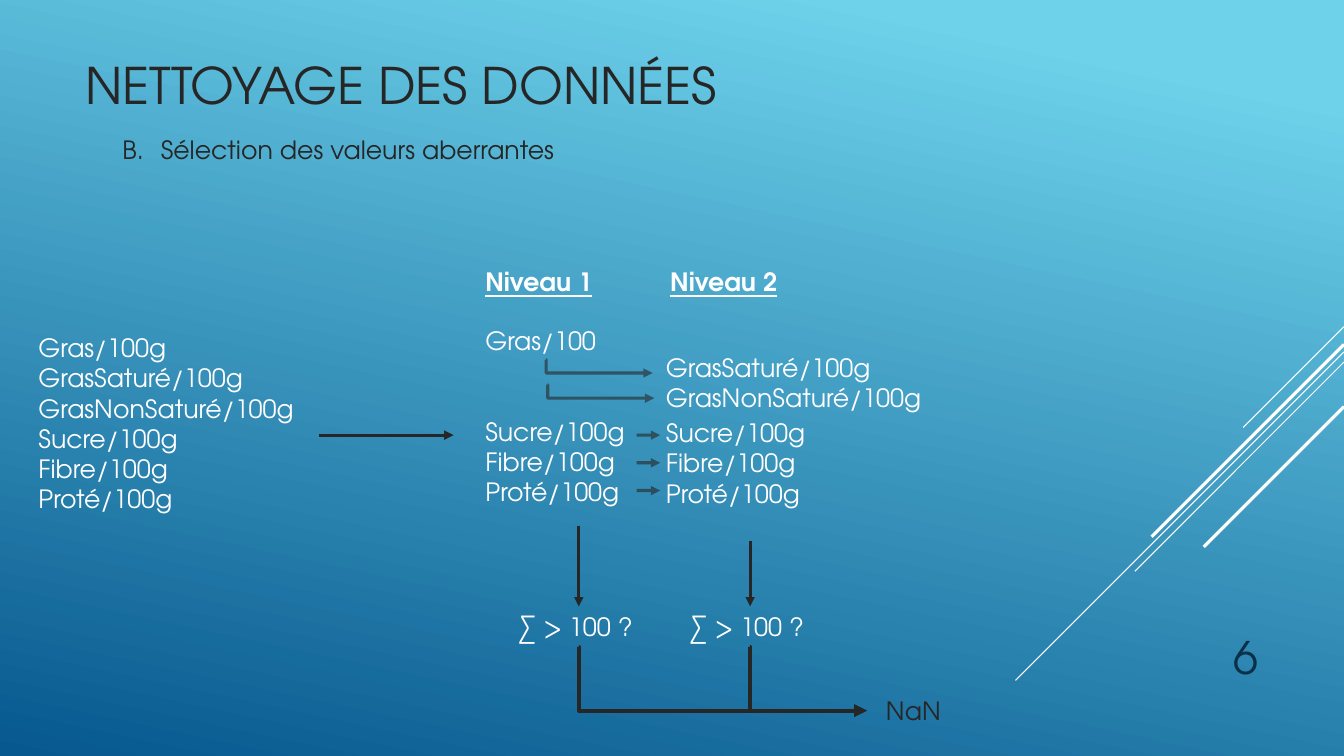
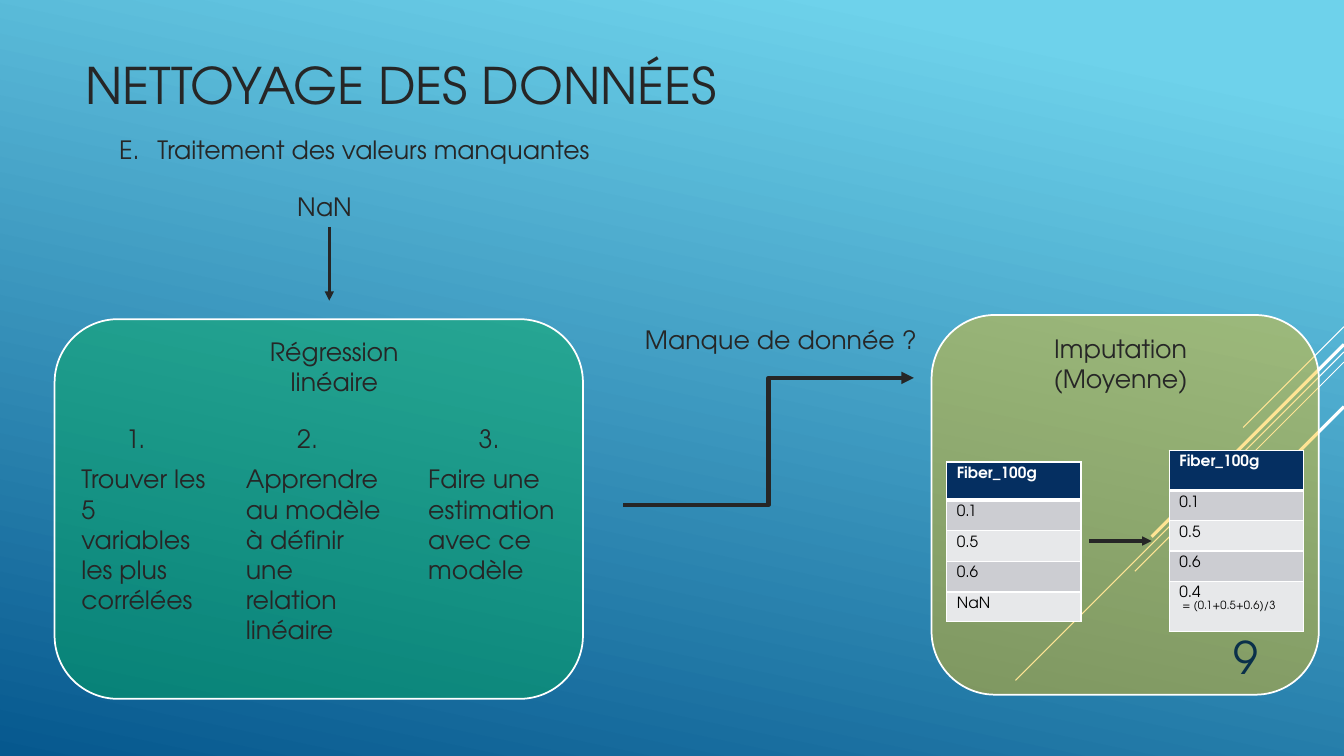
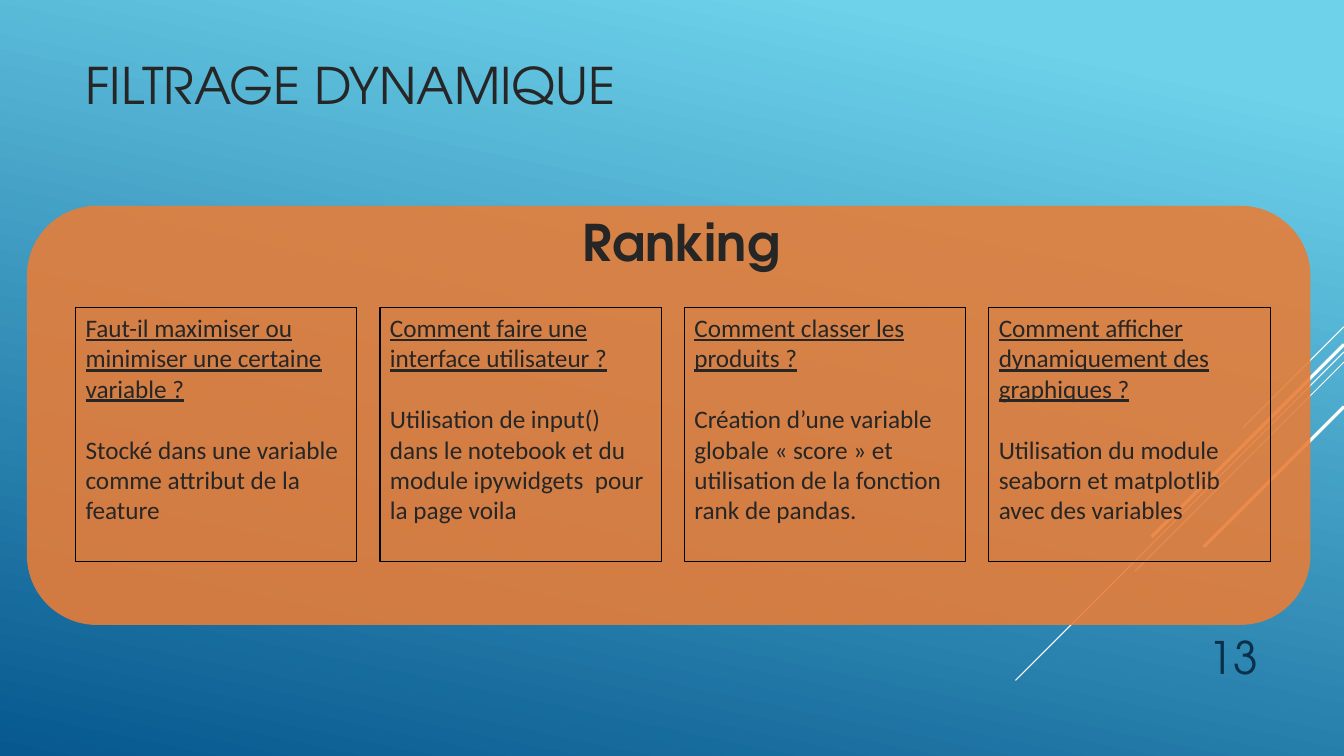
"""Build three slides about data cleaning and dynamic filtering."""
from dataclasses import dataclass

from lxml.etree import SubElement
from pptx import Presentation
from pptx.dml.color import RGBColor
from pptx.enum.shapes import MSO_CONNECTOR, MSO_SHAPE
from pptx.enum.text import MSO_ANCHOR, PP_ALIGN
from pptx.oxml.ns import qn
from pptx.util import Inches, Pt


@dataclass(frozen=True)
class Theme:
    """Hold the colours, fonts and type sizes of the deck."""
    sky: str = "6ED2EB"
    deep: str = "06588E"
    ink: str = "262626"
    white: str = "FFFFFF"
    black: str = "000000"
    number: str = "0A304A"
    yellow: str = "FFC000"
    green: str = "00B050"
    orange: str = "E87D37"
    header: str = "052F61"
    bands: tuple = ("CCCDD2", "E7E8EA")
    font: str = "TeX Gyre Adventor"
    card_font: str = "Calibri"
    title_size: float = 36
    number_size: float = 32
    body_size: float = 18
    table_size: float = 11
    note_size: float = 8


THEME = Theme()
COLUMNS, ROWS = 80, 45
SLIDE_WIDTH, SLIDE_HEIGHT = Inches(13.33), Inches(7.5)
RAYS = ((19.45, 6, 0.75), (20.95, 19.55, 0.75), (21.55, 12.45, 0.75),
        (20.5, 11.45, 2.25), (24.2, 8.35, 2.25))


def columns(count):
    """Turn grid columns into a length."""
    return round(SLIDE_WIDTH * count / COLUMNS)


def rows(count):
    """Turn grid rows into a length."""
    return round(SLIDE_HEIGHT * count / ROWS)


def place(left, top, width, height):
    """Turn a grid box into slide lengths."""
    return columns(left), rows(top), columns(width), rows(height)


def rgb(color):
    """Turn a hex string into a colour."""
    return RGBColor.from_string(color)


def set_opacity(element, percent):
    """Make every plain colour inside an element partly transparent."""
    for color in element.iter(qn("a:srgbClr")):
        SubElement(color, qn("a:alpha"), val=str(percent * 1000))


def write(frame, text, size=THEME.body_size, color=THEME.ink, font=THEME.font,
          bold=False, underline=False, align=PP_ALIGN.LEFT, before=0, letter=None):
    """Add one paragraph for each line of text."""
    for index, line in enumerate(text.split("\n")):
        paragraph = frame.paragraphs[0]
        if paragraph.runs:
            paragraph = frame.add_paragraph()
        paragraph.alignment = align
        if before and index == 0:
            paragraph.space_before = Pt(before)
        if letter:
            properties = paragraph._p.get_or_add_pPr()
            properties.set("marL", str(Inches(0.38)))
            properties.set("indent", str(-Inches(0.38)))
            SubElement(properties, qn("a:buAutoNum"), type="alphaUcPeriod", startAt=str(letter))
        run = paragraph.add_run()
        run.text = line
        run.font.size = Pt(size)
        run.font.name = font
        run.font.bold = bold
        run.font.underline = underline
        run.font.color.rgb = rgb(color)


def add_text(slide, box, text, anchor=MSO_ANCHOR.TOP, **text_format):
    """Place a wrapped text box on the grid."""
    shape = slide.shapes.add_textbox(*place(*box))
    shape.text_frame.word_wrap = True
    shape.text_frame.vertical_anchor = anchor
    write(shape.text_frame, text, **text_format)
    return shape


def add_panel(slide, box, kind=MSO_SHAPE.ROUNDED_RECTANGLE, fill=None, opacity=100,
              line=None, weight=1.25):
    """Place a panel with optional fill and outline."""
    shape = slide.shapes.add_shape(kind, *place(*box))
    shape.shadow.inherit = False
    if fill:
        shape.fill.solid()
        shape.fill.fore_color.rgb = rgb(fill)
        set_opacity(shape.element.spPr, opacity)
    else:
        shape.fill.background()
    if line:
        shape.line.color.rgb = rgb(line)
        shape.line.width = Pt(weight)
    else:
        shape.line.fill.background()
    return shape


def add_line(slide, start, end, weight=2.25, color=THEME.ink, opacity=100, arrow=True,
             kind=MSO_CONNECTOR.STRAIGHT, bend=None, below=None, above=None):
    """Draw a connector, leaving the shape above it or reaching the one below."""
    connector = slide.shapes.add_connector(
        kind, columns(start[0]), rows(start[1]), columns(end[0]), rows(end[1]))
    if above is not None:
        connector.begin_connect(above, 2)
    if below is not None:
        connector.end_connect(below, 0)
    connector.line.color.rgb = rgb(color)
    connector.line.width = Pt(weight)
    properties = connector.element.spPr
    if opacity < 100:
        set_opacity(properties, opacity)
    if arrow:
        SubElement(properties.find(qn("a:ln")), qn("a:tailEnd"), type="triangle")
    if bend is not None:
        geometry = properties.find(qn("a:prstGeom"))
        adjustments = geometry.find(qn("a:avLst"))
        if adjustments is None:
            adjustments = SubElement(geometry, qn("a:avLst"))
        SubElement(adjustments, qn("a:gd"), name="adj1", fmla=f"val {bend}")
    SubElement(properties, qn("a:effectLst"))


def add_corner(slide, start, end, **line_format):
    """Draw an arrow that goes down first, then right."""
    add_line(slide, start, end, kind=MSO_CONNECTOR.ELBOW, bend=100, **line_format)


def set_borders(cell, bottom):
    """Give a table cell white borders."""
    properties = cell._tc.get_or_add_tcPr()
    for side, weight in (("L", 1), ("R", 1), ("T", 1), ("B", bottom)):
        border = SubElement(properties, qn(f"a:ln{side}"), w=str(Pt(weight)))
        fill = SubElement(border, qn("a:solidFill"))
        SubElement(fill, qn("a:srgbClr"), val=THEME.white)


def add_fiber_table(slide, left, top, heights, values, note=None):
    """Add a one-column table with an optional note in its last cell."""
    frame = slide.shapes.add_table(len(values), 1, *place(left, top, 8, sum(heights)))
    table = frame.table
    table.horz_banding = False
    for index, (height, value) in enumerate(zip(heights, values)):
        heading = index == 0
        table.rows[index].height = rows(height)
        cell = table.cell(index, 0)
        set_borders(cell, 3 if heading else 1)
        cell.fill.solid()
        cell.fill.fore_color.rgb = rgb(THEME.header if heading else THEME.bands[(index - 1) % 2])
        write(cell.text_frame, value, size=THEME.table_size, bold=heading,
              color=THEME.white if heading else THEME.black)
    if note:
        write(cell.text_frame, note, size=THEME.note_size, color=THEME.black)


def add_slide(presentation, title, number):
    """Start a slide with the shared rays, title and page number."""
    slide = presentation.slides.add_slide(presentation.slide_layouts[6])
    for top, reach, weight in RAYS:
        add_line(slide, (COLUMNS, top), (COLUMNS - reach, top + reach), weight,
                 THEME.white, arrow=False)
    add_text(slide, (4.5, 2.4, 60, 5.3), title, MSO_ANCHOR.MIDDLE, size=THEME.title_size)
    return slide, lambda: add_text(
        slide, (68, 36.6, 7.5, 4.4), number, MSO_ANCHOR.BOTTOM, size=THEME.number_size,
        color=THEME.number, align=PP_ALIGN.RIGHT)


def build_outliers(presentation):
    """Show how outliers are selected on two levels."""
    slide, add_number = add_slide(presentation, "NETTOYAGE DES DONNÉES", "6")
    add_text(slide, (6.7, 7.7, 33.2, 2.4), "Sélection des valeurs aberrantes", letter=2)
    nutrients = "Sucre/100g\nFibre/100g\nProté/100g"
    fats = "GrasSaturé/100g\nGrasNonSaturé/100g"
    add_text(slide, (1.7, 19.5, 21.5, 11.5), f"Gras/100g\n{fats}\n{nutrients}", color=THEME.white)
    add_line(slide, (19, 25.9), (27, 25.9))
    first_level = add_text(slide, (28.3, 19.05, 21.5, 11.5), "Gras/100", color=THEME.white)
    write(first_level.text_frame, nutrients, color=THEME.white, before=43.4)
    add_text(slide, (39.05, 20.65, 18.4, 4.2), fats, color=THEME.white)
    add_text(slide, (39.05, 24.55, 40, 6), nutrients, color=THEME.white)
    for left, top in ((32.5, 21.4), (32.6, 22.9)):
        add_corner(slide, (left, top), (left + 6.35, top + 0.8), opacity=60)
    for index in range(3):
        top = 25.9 + 1.65 * index
        add_line(slide, (37.9, top), (39.3, top), opacity=60)
    for level, left, center, top in ((1, 28.3, 34.45, 31.3), (2, 39.3, 44.65, 32.2)):
        add_text(slide, (left, 15.55, 8.6, 2.4), f"Niveau {level}", color=THEME.white,
                 bold=True, underline=True)
        check = add_text(slide, (center - 4.25, 36.1, 8.5, 2.4), "∑ > 100 ?", color=THEME.white)
        add_line(slide, (center, top), (center, 36.1), below=check)
        add_corner(slide, (center, 38.5), (51.6, 42.3), weight=3)
    add_text(slide, (52.15, 41.1, 5, 2.4), "NaN")
    add_number()


def build_missing_values(presentation):
    """Show how missing values are estimated or imputed."""
    slide, add_number = add_slide(presentation, "NETTOYAGE DES DONNÉES", "9")
    for left, top, width, fill in ((55.45, 18.75, 23.05, THEME.yellow),
                                   (3.25, 19, 31.45, THEME.green)):
        add_panel(slide, (left, top, width, 22.6), fill=fill, opacity=42, line=THEME.white)
    add_text(slide, (6.5, 7.7, 33.2, 2.4), "Traitement des valeurs manquantes", letter=5)
    missing = add_text(slide, (17.1, 11.1, 5, 2.4), "NaN")
    add_line(slide, (19.6, 13.5), (19.6, 17.9), above=missing)
    for left, top, heading in ((60.7, 19.55, "Imputation\n(Moyenne)"),
                               (13.9, 19.7, "Régression\nlinéaire")):
        add_text(slide, (left, top, 12, 4.2), heading, align=PP_ALIGN.CENTER)
    steps = (("1.", 6.9, 4.25, 8.7, "Trouver les 5 variables les plus corrélées"),
             ("2.", 17.1, 14.05, 9.4, "Apprendre au modèle à définir une relation linéaire"),
             ("3.", 27.9, 24.9, 9.4, "Faire une estimation avec ce modèle"))
    for number, number_left, left, width, text in steps:
        add_text(slide, (number_left, 24.9, 4, 2.4), number)
        add_text(slide, (left, 27.3, width, 11.5), text)
    add_text(slide, (37.8, 19, 18.3, 2.4), "Manque de donnée ?")
    add_line(slide, (37.1, 30.05), (54.4, 22.5), weight=3, kind=MSO_CONNECTOR.ELBOW)
    known = ("Fiber_100g", "0.1", "0.5", "0.6")
    add_fiber_table(slide, 56.35, 27.5, (2.28, 1.82, 1.82, 1.82, 1.74), known + ("NaN",))
    add_fiber_table(slide, 69.6, 26.8, (2.4, 1.8, 1.8, 1.8, 3), known + ("0.4",),
                    " = (0.1+0.5+0.6)/3")
    add_line(slide, (64.85, 32.2), (68.55, 32.2))
    add_number()


def build_filtering(presentation):
    """Show the four questions behind the ranking."""
    slide, add_number = add_slide(presentation, "FILTRAGE DYNAMIQUE", "13")
    add_panel(slide, (1.6, 12.25, 76.4, 24.95), fill=THEME.orange, opacity=89)
    add_text(slide, (31.7, 12.25, 17.75, 6), "Ranking", size=THEME.title_size, bold=True,
             align=PP_ALIGN.CENTER)
    cards = (("Faut-il maximiser ou minimiser une certaine variable ?",
              "Stocké dans une variable comme attribut de la feature"),
             ("Comment faire une interface utilisateur ?",
              "Utilisation de input() dans le notebook et du module ipywidgets  pour la page voila"),
             ("Comment classer les produits ?",
              "Création d’une variable globale « score » et utilisation de la fonction rank "
              "de pandas."),
             ("Comment afficher dynamiquement des graphiques ?",
              "Utilisation du module seaborn et matplotlib avec des variables"))
    width, gap = 16.75, 1.37
    for index, (question, answer) in enumerate(cards):
        card = add_panel(slide, (4.5 + index * (width + gap), 18.3, width, 15.1),
                         kind=MSO_SHAPE.RECTANGLE, line=THEME.black, weight=0.75)
        frame = card.text_frame
        frame.word_wrap = True
        frame.vertical_anchor = MSO_ANCHOR.TOP
        write(frame, question, font=THEME.card_font, underline=True)
        write(frame, answer, font=THEME.card_font, before=22)
    add_number()


def set_background(presentation):
    """Give the slide master its blue gradient."""
    fill = presentation.slide_master.background.fill
    fill.gradient()
    fill.gradient_angle = 258
    for stop, color, position in zip(fill.gradient_stops, (THEME.sky, THEME.deep), (0.1, 1)):
        stop.color.rgb = rgb(color)
        stop.position = position


def main():
    """Build and save the deck."""
    presentation = Presentation()
    presentation.slide_width = SLIDE_WIDTH
    presentation.slide_height = SLIDE_HEIGHT
    set_background(presentation)
    build_outliers(presentation)
    build_missing_values(presentation)
    build_filtering(presentation)
    presentation.save("out.pptx")


if __name__ == "__main__":
    main()
